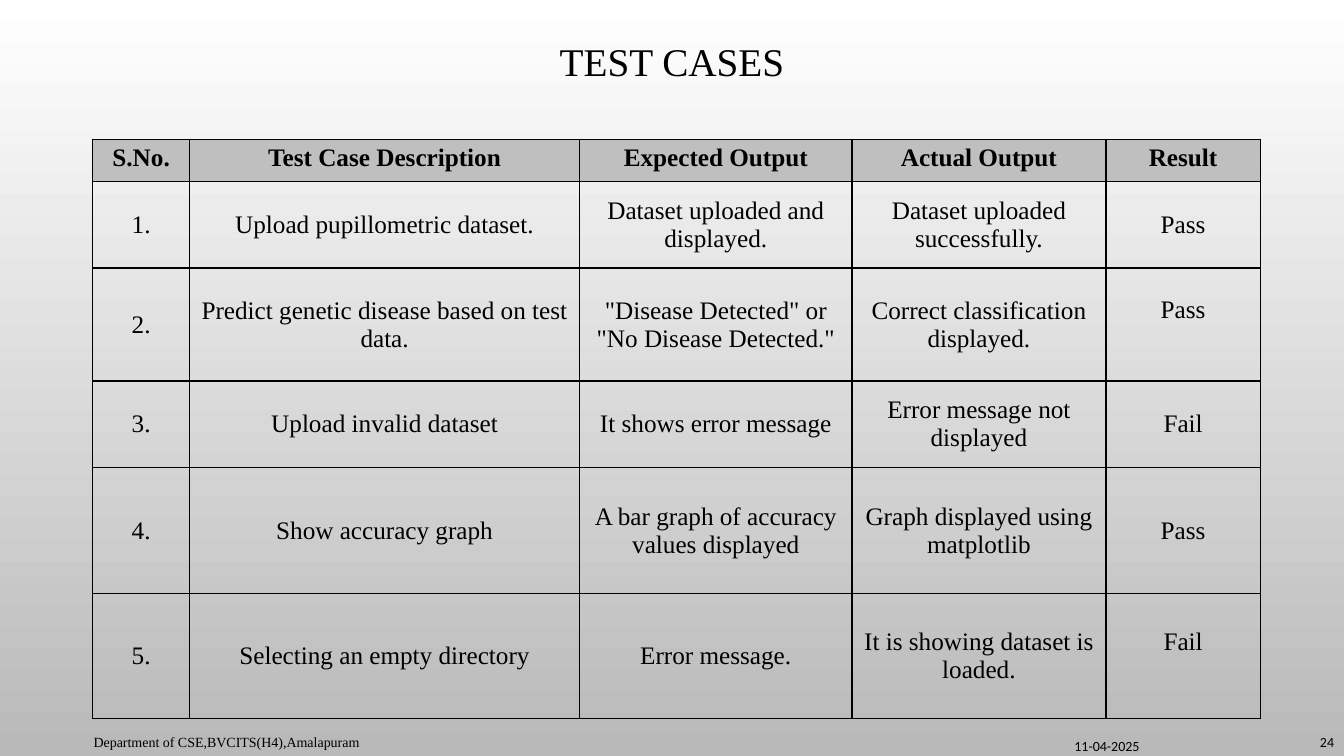
"""Build the test cases slide: a title, a results table and a footer."""
from dataclasses import dataclass

from lxml import etree
from pptx import Presentation
from pptx import util as u
from pptx.dml.color import RGBColor
from pptx.enum import text
from pptx.oxml import ns


@dataclass(frozen=True)
class Theme:
    ink: str = "000000"
    header: str = "BFBFBF"
    backdrop: tuple = ("FFFFFF", "B9B9B9")
    serif: str = "Times New Roman"
    sans: str = "Calibri"
    title: int = 28
    body: int = 18
    footer: int = 10
    border: int = 1


THEME = Theme()
CENTER, LEFT, RIGHT = text.PP_ALIGN.CENTER, text.PP_ALIGN.LEFT, text.PP_ALIGN.RIGHT


def write(frame, words, size, font, align, bold=False):
    paragraph = frame.paragraphs[0]
    paragraph.text = words
    paragraph.alignment = align
    paragraph.font.size = u.Pt(size)
    paragraph.font.name = font
    paragraph.font.bold = bold
    paragraph.font.color.rgb = RGBColor.from_string(THEME.ink)
    return paragraph


def outline(cell):
    properties = cell._tc.get_or_add_tcPr()
    for side in ("lnL", "lnR", "lnT", "lnB"):
        line = etree.SubElement(properties, ns.qn(f"a:{side}"), w=str(u.Pt(THEME.border)))
        solid = etree.SubElement(line, ns.qn("a:solidFill"))
        etree.SubElement(solid, ns.qn("a:srgbClr"), val=THEME.ink)


deck = Presentation()
deck.slide_width, deck.slide_height = u.Inches(13.33), u.Inches(7.5)
slide = deck.slides.add_slide(deck.slide_layouts[6])

backdrop = slide.background.fill
backdrop.gradient()
backdrop.gradient_angle = 270
for stop, color in zip(backdrop.gradient_stops, THEME.backdrop):
    stop.color.rgb = RGBColor.from_string(color)

labels = [
    ("TEST CASES", (1, 0.05, 11.33, 1.17), THEME.title, THEME.serif, CENTER),
    ("Department of CSE,BVCITS(H4),Amalapuram", (0.83, 7.22, 7.47, 0.28), THEME.footer, THEME.serif, LEFT),
    ("24", (11.5, 7.22, 1.83, 0.28), THEME.footer, THEME.sans, RIGHT),
    ("11-04-2025", (8.4, 7.3, 3, 0.2), THEME.footer, THEME.sans, RIGHT),
]
for words, place, size, font, align in labels:
    frame = slide.shapes.add_textbox(*map(u.Inches, place)).text_frame
    frame.word_wrap = True
    frame.vertical_anchor = text.MSO_ANCHOR.MIDDLE
    frame.margin_top = frame.margin_bottom = 0
    write(frame, words, size, font, align).line_spacing = 0.9 if size == THEME.title else 1.0

test_cases = [
    ("S.No.", "Test Case Description", "Expected Output", "Actual Output", "Result"),
    ("1.", "Upload pupillometric dataset.", "Dataset uploaded and displayed.",
     "Dataset uploaded successfully.", "Pass"),
    ("2.", "Predict genetic disease based on test data.",
     '"Disease Detected" or "No Disease Detected."', "Correct classification displayed.", "Pass"),
    ("3.", "Upload invalid dataset", "It shows error message", "Error message not displayed", "Fail"),
    ("4.", "Show accuracy graph", "A bar graph of accuracy values displayed",
     "Graph displayed using matplotlib", "Pass"),
    ("5.", "Selecting an empty directory", "Error message.", "It is showing dataset is loaded.", "Fail"),
]
column_widths = (0.96, 3.87, 2.7, 2.52, 1.53)
row_heights = (0.42, 0.86, 1.12, 0.86, 1.25, 1.24)
raised_results = {(2, 4), (5, 4)}

results = slide.shapes.add_table(
    len(row_heights), len(column_widths),
    u.Inches(0.92), u.Inches(1.38), u.Inches(11.58), u.Inches(5.76)).table
results.first_row = results.horz_banding = False
for column, width in zip(results.columns, column_widths):
    column.width = u.Inches(width)
for row, height in zip(results.rows, row_heights):
    row.height = u.Inches(height)

for r, case in enumerate(test_cases):
    for c, words in enumerate(case):
        cell = results.cell(r, c)
        write(cell.text_frame, words, THEME.body, THEME.serif, CENTER, bold=r == 0)
        outline(cell)
        if r == 0:
            cell.fill.solid()
            cell.fill.fore_color.rgb = RGBColor.from_string(THEME.header)
        else:
            cell.fill.background()
            cell.vertical_anchor = text.MSO_ANCHOR.MIDDLE
        if (r, c) in raised_results:
            cell.margin_bottom = u.Inches(0.33)

deck.save("out.pptx")
